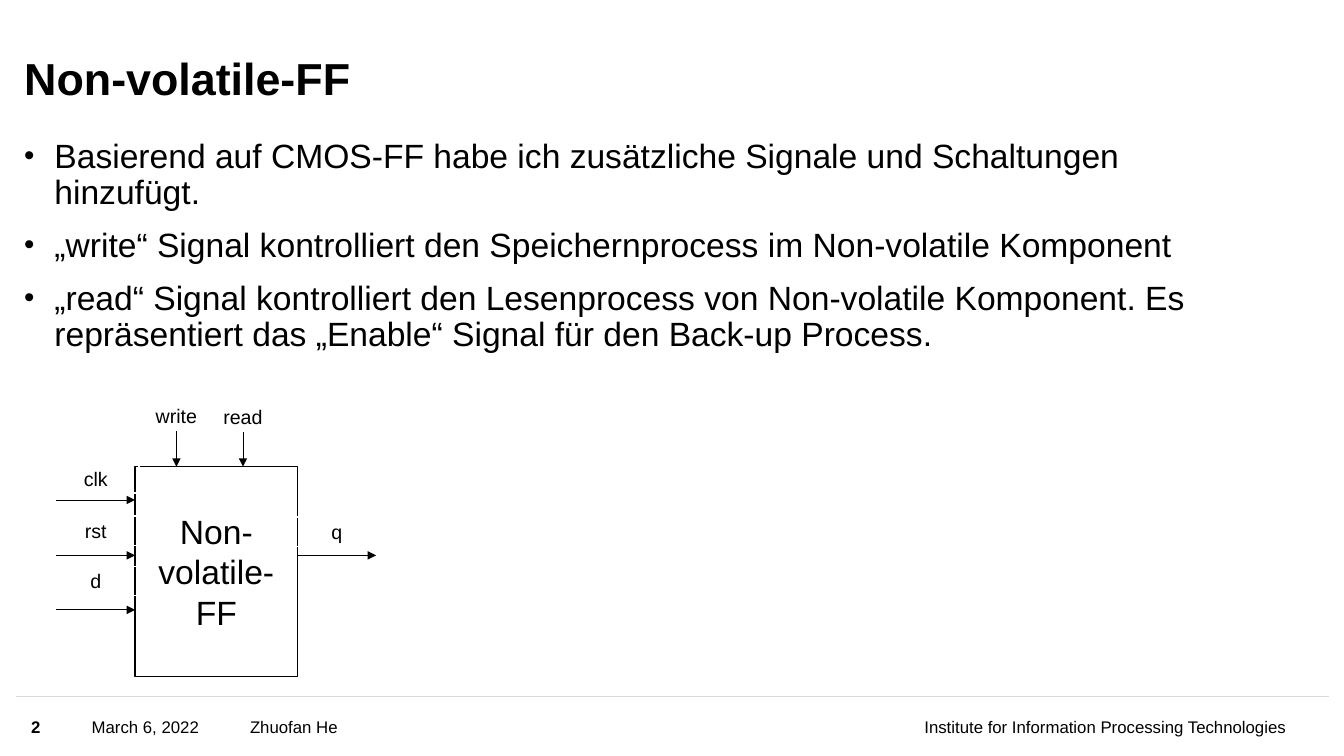
from dataclasses import dataclass
from pptx import Presentation
from pptx.dml.color import RGBColor
from pptx.enum.shapes import MSO_CONNECTOR, MSO_SHAPE
from pptx.enum.text import MSO_ANCHOR, MSO_AUTO_SIZE, PP_ALIGN
from pptx.oxml.ns import qn
from pptx.util import Inches, Pt
from lxml import etree

STRAIGHT = MSO_CONNECTOR.STRAIGHT
RECTANGLE = MSO_SHAPE.RECTANGLE
TOP, MIDDLE, BOTTOM = MSO_ANCHOR.TOP, MSO_ANCHOR.MIDDLE, MSO_ANCHOR.BOTTOM
LEFT, CENTER, RIGHT = PP_ALIGN.LEFT, PP_ALIGN.CENTER, PP_ALIGN.RIGHT
NO_FIT = MSO_AUTO_SIZE.NONE


@dataclass(frozen=True)
class Theme:
    font: str = "Arial"
    ink: RGBColor = RGBColor(0, 0, 0)
    paper: RGBColor = RGBColor(255, 255, 255)
    rule: RGBColor = RGBColor(0xD9, 0xD9, 0xD9)
    title: int = 32
    body: int = 24
    signal: int = 14
    footer: int = 12


THEME = Theme()
BULLETS = [
    "Basierend auf CMOS-FF habe ich zusätzliche Signale und Schaltungen hinzufügt.",
    "„write“ Signal kontrolliert den Speichernprocess im Non-volatile Komponent",
    "„read“ Signal kontrolliert den Lesenprocess von Non-volatile Komponent. "
    "Es repräsentiert das „Enable“ Signal für den Back-up Process.",
]


def apply(target, values):
    for name, value in values.items():
        setattr(target, name, value)


def write(shape, lines, size, anchor=TOP, align=LEFT, bold=False, inset=0, **spacing):
    frame = shape.text_frame
    margins = {f"margin_{side}": Inches(inset) for side in ("left", "right")}
    margins |= {f"margin_{side}": Inches(inset / 2) for side in ("top", "bottom")}
    apply(frame, {"word_wrap": True, "auto_size": NO_FIT, "vertical_anchor": anchor, **margins})
    frame.text = "\n".join(lines)
    for paragraph in frame.paragraphs:
        apply(paragraph, {"alignment": align, **spacing})
        apply(paragraph.font, {"name": THEME.font, "size": Pt(size), "bold": bold})
        paragraph.font.color.rgb = THEME.ink
    return frame


def add_text(slide, box, lines, size, **style):
    return write(slide.shapes.add_textbox(*map(Inches, box)), lines, size, **style)


def add_line(slide, start, end, color, width, arrow=False):
    line = slide.shapes.add_connector(STRAIGHT, *map(Inches, (*start, *end)))
    line.line.color.rgb = color
    line.line.width = Pt(width)
    if arrow:
        etree.SubElement(line.line._get_or_add_ln(), qn("a:tailEnd"), type="triangle")
    etree.SubElement(line._element.spPr, qn("a:effectLst"))


def add_box(slide, box, label, size, outline, filled=False):
    rectangle = slide.shapes.add_shape(RECTANGLE, *map(Inches, box))
    rectangle.shadow.inherit = False
    if filled:
        rectangle.fill.solid()
        rectangle.fill.fore_color.rgb = THEME.paper
    else:
        rectangle.fill.background()
    rectangle.line.color.rgb = outline
    rectangle.line.width = Pt(1)
    write(rectangle, [label], size, anchor=MIDDLE, align=CENTER, inset=0.1)


def place_title(slide, box):
    title = slide.shapes.title
    apply(title, dict(zip(("left", "top", "width", "height"), map(Inches, box))))
    write(title, ["Non-volatile-FF"], THEME.title, anchor=BOTTOM, bold=True, line_spacing=0.9)


def add_bullets(slide, box):
    frame = add_text(slide, box, BULLETS, THEME.body, line_spacing=0.9, space_before=Pt(12))
    for paragraph in frame.paragraphs:
        properties = paragraph._p.get_or_add_pPr()
        properties.set("marL", str(Inches(0.3)))
        properties.set("indent", str(-Inches(0.3)))
        etree.SubElement(properties, qn("a:buSzPct"), val="88000")
        etree.SubElement(properties, qn("a:buFont"), typeface=THEME.font)
        etree.SubElement(properties, qn("a:buChar"), char="•")


def add_flip_flop(slide, box):
    left, top, width, height = box
    right = left + width
    wire, drop = 0.78, 0.35
    label_width, label_height = 0.86, 0.29
    overhang = (label_width - wire) / 2
    add_box(slide, box, "Non-volatile-FF", THEME.body, THEME.ink, filled=True)

    side_signals = [
        ("clk", left - wire, 0.33, 0.36),
        ("rst", left - wire, 0.88, 0.39),
        ("d", left - wire, 1.42, 0.43),
        ("q", right, 0.88, 0.38),
    ]
    for name, start, offset, lift in side_signals:
        y = top + offset
        add_line(slide, (start, y), (start + wire, y), THEME.ink, 0.5, arrow=True)
        label = (start - overhang, y - lift, label_width, label_height)
        add_box(slide, label, name, THEME.signal, THEME.paper)

    for name, offset, lift in [("write", 0.41, 0.65), ("read", 1.07, 0.64)]:
        x = left + offset
        add_line(slide, (x, top - drop), (x, top), THEME.ink, 0.5, arrow=True)
        label = (x - label_width / 2, top - lift, label_width, label_height)
        add_box(slide, label, name, THEME.signal, THEME.paper)


def add_footer(slide, box):
    left, top, width, height = box
    add_line(slide, (left, top), (left + width, top), THEME.rule, 1)
    entries = [
        ("2", 0.15, 0.48, LEFT, True),
        ("March 6, 2022", 0.75, 1.5, LEFT, False),
        ("Zhuofan He", 2.32, 5.37, LEFT, False),
        ("Institute for Information Processing Technologies", 7.87, 4.73, RIGHT, False),
    ]
    for text, offset, entry_width, align, bold in entries:
        add_text(slide, (left + offset, top + 0.01, entry_width, height), [text],
                 THEME.footer, anchor=MIDDLE, align=align, bold=bold)


def main():
    presentation = Presentation()
    presentation.slide_width = Inches(13.33)
    presentation.slide_height = Inches(7.5)
    slide = presentation.slides.add_slide(presentation.slide_layouts[5])
    place_title(slide, (0.24, 0.2, 10.02, 0.84))
    add_bullets(slide, (0.24, 1.38, 12.17, 2.4))
    add_flip_flop(slide, (1.34, 4.63, 1.61, 2.08))
    add_footer(slide, (0.16, 6.91, 13.02, 0.58))
    presentation.save("out.pptx")


if __name__ == "__main__":
    main()
